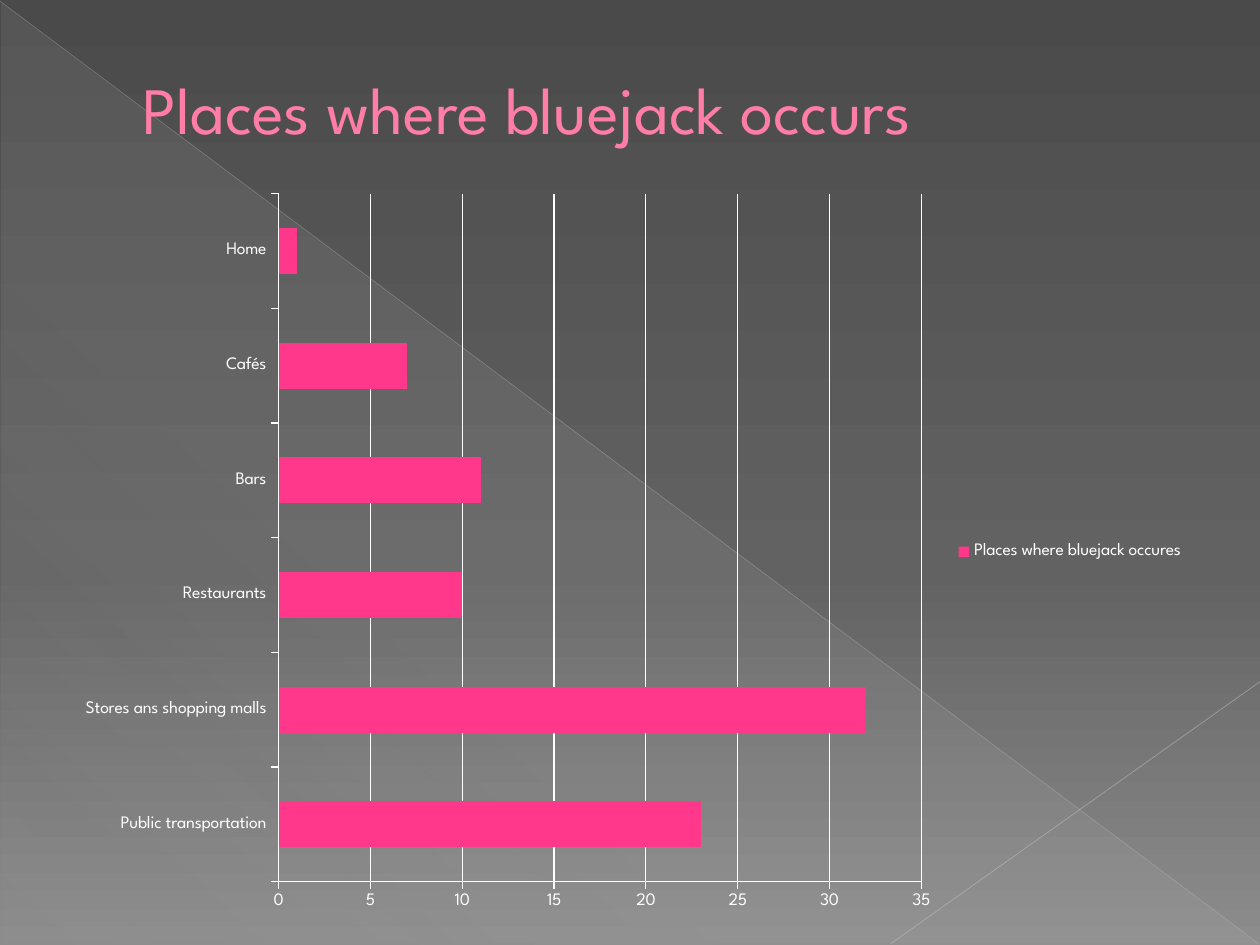
from dataclasses import dataclass

from lxml.etree import SubElement
from pptx import Presentation
from pptx.chart.data import CategoryChartData
from pptx.dml.color import RGBColor
from pptx.enum.chart import XL_CHART_TYPE as ChartType
from pptx.enum.chart import XL_LEGEND_POSITION as LegendPosition
from pptx.enum.chart import XL_TICK_MARK as TickMark
from pptx.enum.shapes import MSO_CONNECTOR as Connector
from pptx.enum.shapes import MSO_SHAPE as Shape
from pptx.enum.text import MSO_ANCHOR as Anchor
from pptx.oxml.ns import qn
from pptx.util import Inches, Pt


@dataclass(frozen=True)
class Theme:
    font: str = "League Spartan"
    title_size: float = 37.8
    chart_size: float = 10
    title: str = "FF7DA7"
    title_edge: str = "B12761"
    bar: str = "FF388C"
    text: str = "FFFFFF"
    # Gradient stops: position %, colour, opacity %
    backdrop: tuple = ((0, "4A4A4A", 100), (60, "626262", 100), (100, "8C8C8C", 100))
    sheen: tuple = ((0, "D2D2D2", 10), (70, "D2D2D2", 8), (100, "D2D2D2", 1))
    diagonal: str = "BFBFBF"
    corner: str = "C6C6C6"


def set_all(target, values):
    for name, value in values.items():
        setattr(target, name, value)


def add_color(parent, color, opacity=100):
    node = SubElement(parent, qn("a:srgbClr"), val=color)
    if opacity < 100:
        SubElement(node, qn("a:alpha"), val=str(opacity * 1000))


class SlideBuilder:
    def __init__(self, page, theme):
        self.page = page
        self.theme = theme

    def gradient(self, fill, owner, stops, angle):
        fill.gradient()
        fill.gradient_angle = 360 - angle
        stop_list = next(owner.iter(qn("a:gsLst")))
        for old in list(stop_list):
            stop_list.remove(old)
        for position, color, opacity in stops:
            stop = SubElement(stop_list, qn("a:gs"), pos=str(position * 1000))
            add_color(stop, color, opacity)

    def background(self):
        self.gradient(self.page.background.fill, self.page.element, self.theme.backdrop, 90)

    def triangle(self, left, top, width, height):
        shape = self.page.shapes.add_shape(
            Shape.RIGHT_TRIANGLE, Inches(left), Inches(top), Inches(width), Inches(height))
        shape.shadow.inherit = False
        shape.line.fill.background()
        self.gradient(shape.fill, shape.element, self.theme.sheen, 133)

    def line(self, start, end, color, width, opacity):
        points = [Inches(value) for value in (*start, *end)]
        connector = self.page.shapes.add_connector(Connector.STRAIGHT, *points)
        connector.line.width = Pt(width)
        connector.line.color.rgb = RGBColor.from_string(color)
        node = next(connector.element.spPr.iter(qn("a:srgbClr")))
        SubElement(node, qn("a:alpha"), val=str(opacity * 1000))
        SubElement(connector.element.spPr, qn("a:effectLst"))

    def title(self, text, left, top, width, height):
        box = self.page.shapes.add_textbox(
            Inches(left), Inches(top), Inches(width), Inches(height))
        frame = box.text_frame
        set_all(frame, {"word_wrap": True, "vertical_anchor": Anchor.TOP,
                        "margin_left": Inches(0.63), "margin_top": Inches(0.12)})
        span = frame.paragraphs[0].add_run()
        span.text = text
        set_all(span.font, {"name": self.theme.font, "size": Pt(self.theme.title_size)})
        span.font.color.rgb = RGBColor.from_string(self.theme.title)
        # Thin outline around the letters
        properties = span.font._element
        outline = SubElement(properties, qn("a:ln"), w=str(Pt(0.5)))
        add_color(SubElement(outline, qn("a:solidFill")), self.theme.title_edge)
        properties.insert(0, outline)

    def bar_chart(self, name, places, left, top, width, height):
        data = CategoryChartData()
        data.categories = list(places)
        data.add_series(name, list(places.values()))
        chart = self.page.shapes.add_chart(
            ChartType.BAR_CLUSTERED, Inches(left), Inches(top),
            Inches(width), Inches(height), data).chart
        white = RGBColor.from_string(self.theme.text)
        set_all(chart, {"has_title": False, "has_legend": True})
        set_all(chart.font, {"name": self.theme.font, "size": Pt(self.theme.chart_size)})
        chart.font.color.rgb = white
        set_all(chart.legend, {"position": LegendPosition.RIGHT, "include_in_layout": False})

        # Bars
        plot = chart.plots[0]
        set_all(plot, {"gap_width": 150, "vary_by_categories": False})
        fill = plot.series[0].format.fill
        fill.solid()
        fill.fore_color.rgb = RGBColor.from_string(self.theme.bar)

        # Axes and gridlines
        values = chart.value_axis
        set_all(values, {"minimum_scale": 0, "maximum_scale": 35, "major_unit": 5,
                         "has_major_gridlines": True})
        for axis in (chart.category_axis, values):
            set_all(axis, {"major_tick_mark": TickMark.OUTSIDE,
                           "minor_tick_mark": TickMark.NONE})
        for part in (chart.category_axis, values, values.major_gridlines):
            part.format.line.color.rgb = white
            part.format.line.width = Pt(0.75)


def main():
    deck = Presentation()
    set_all(deck, {"slide_width": Inches(10), "slide_height": Inches(7.5)})
    theme = Theme()
    builder = SlideBuilder(deck.slides.add_slide(deck.slide_layouts[6]), theme)

    # Backdrop
    builder.background()
    builder.triangle(0.01, 0.02, 9.99, 7.48)
    builder.line((0, 0.01), (9.99, 7.49), theme.diagonal, 0.39, 35)
    builder.line((10, 5.41), (7.07, 7.49), theme.corner, 0.47, 45)

    # Content
    builder.title("Places where bluejack occurs", 0.5, 0.42, 9, 1.21)
    places = {"Public transportation": 23, "Stores ans shopping malls": 32,
              "Restaurants": 10, "Bars": 11, "Cafés": 7, "Home": 1}
    builder.bar_chart("Places where bluejack occures", places, 0.5, 1.42, 9, 5.92)

    deck.save("out.pptx")


if __name__ == "__main__":
    main()
